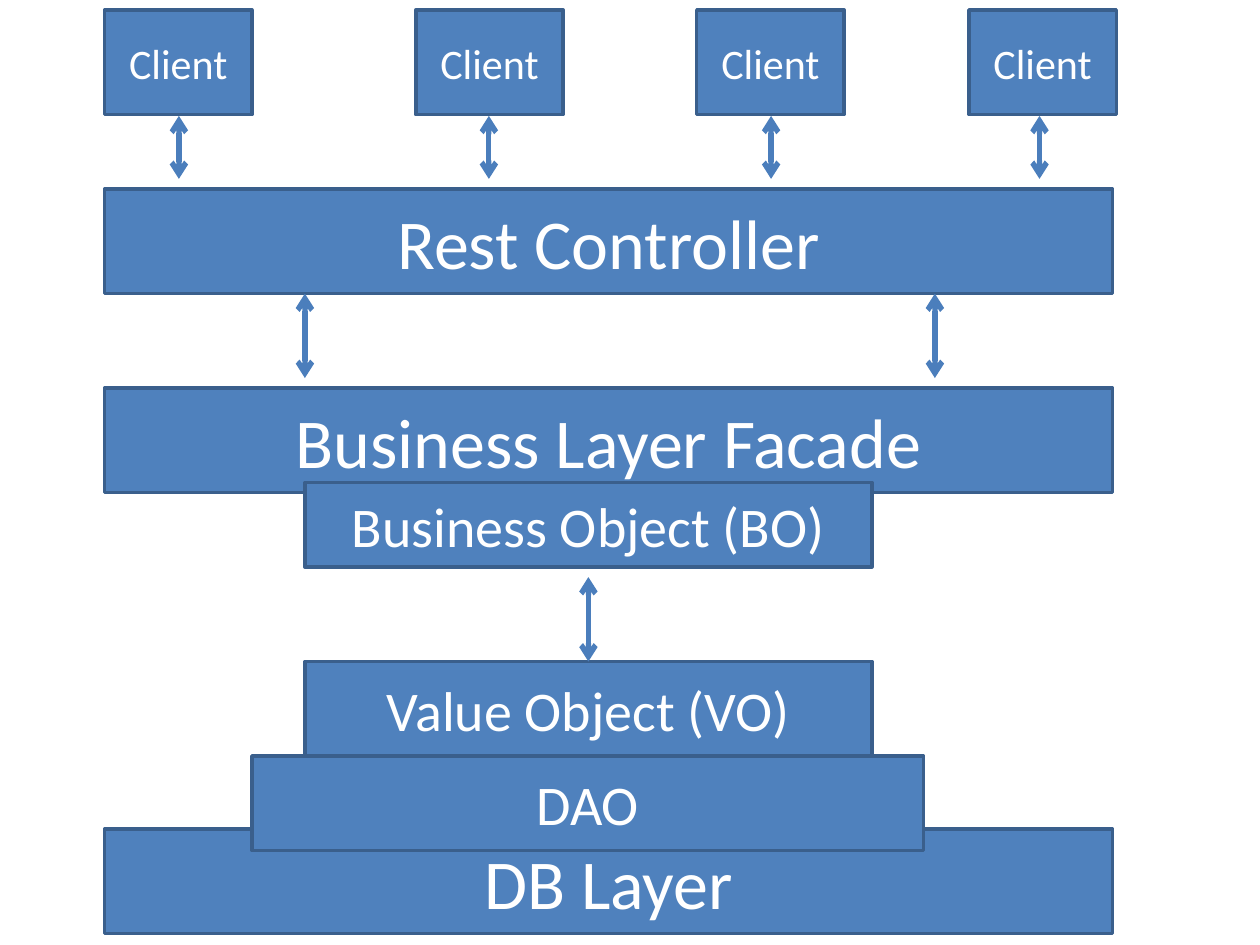
import pptx
import pptx.util
import pptx.dml.color
import pptx.enum.shapes
import pptx.enum.text
from lxml import etree
from pptx.oxml.ns import qn

Inches, Pt = pptx.util.Inches, pptx.util.Pt
COLORS = {"fill": "4F81BD", "edge": "3A5F8C", "arrow": "4B7EBC", "text": "FFFFFF"}


def color(name):
    return pptx.dml.color.RGBColor.from_string(COLORS[name])


class Diagram:
    font = "Calibri"

    def __init__(self, slide):
        self.slide = slide

    def box(self, text, left, top, width, height, size):
        box = self.slide.shapes.add_shape(
            pptx.enum.shapes.MSO_SHAPE.RECTANGLE,
            Inches(left), Inches(top), Inches(width), Inches(height))
        box.shadow.inherit = False
        box.fill.solid()
        box.fill.fore_color.rgb = color("fill")
        box.line.color.rgb = color("edge")
        box.line.width = Pt(2)
        frame = box.text_frame
        frame.text = text
        frame.word_wrap = True
        frame.vertical_anchor = pptx.enum.text.MSO_ANCHOR.MIDDLE
        para = frame.paragraphs[0]
        para.alignment = pptx.enum.text.PP_ALIGN.CENTER
        font = para.runs[0].font
        font.name, font.size = self.font, Pt(size)
        font.color.rgb = color("text")

    def arrow(self, x, top, end):
        link = self.slide.shapes.add_connector(
            pptx.enum.shapes.MSO_CONNECTOR.STRAIGHT,
            Inches(x), Inches(top), Inches(x), Inches(end))
        link.line.color.rgb = color("arrow")
        link.line.width = Pt(3)
        line = link.line._get_or_add_ln()
        for tip in ("a:headEnd", "a:tailEnd"):
            etree.SubElement(line, qn(tip), type="arrow")
        etree.SubElement(link._element.spPr, qn("a:effectLst"))


deck = pptx.Presentation()
deck.slide_width, deck.slide_height = Inches(10), Inches(7.5)
art = Diagram(deck.slides.add_slide(deck.slide_layouts[6]))

# Clients, each linked to the controller
for left, x in ((0.83, 1.42), (3.3, 3.88), (5.53, 6.12), (7.69, 8.25)):
    art.box("Client", left, 0.08, 1.17, 0.83, 24)
    art.arrow(x, 0.92, 1.42)

# Full-width layers
for text, top in (("Rest Controller", 1.5), ("Business Layer Facade", 3.08),
                  ("DB Layer", 6.58)):
    art.box(text, 0.83, top, 8, 0.83, 40)

# Objects between the layers
for text, left, top, width, height in (
        ("Business Object (BO)", 2.42, 3.83, 4.5, 0.67),
        ("Value Object (VO)", 2.42, 5.25, 4.5, 0.75),
        ("DAO", 2, 6, 5.33, 0.75)):
    art.box(text, left, top, width, height, 32)

# Links between the layers
for x, top in ((2.42, 2.33), (7.42, 2.33), (4.67, 4.58)):
    art.arrow(x, top, top + 0.67)

deck.save("out.pptx")
